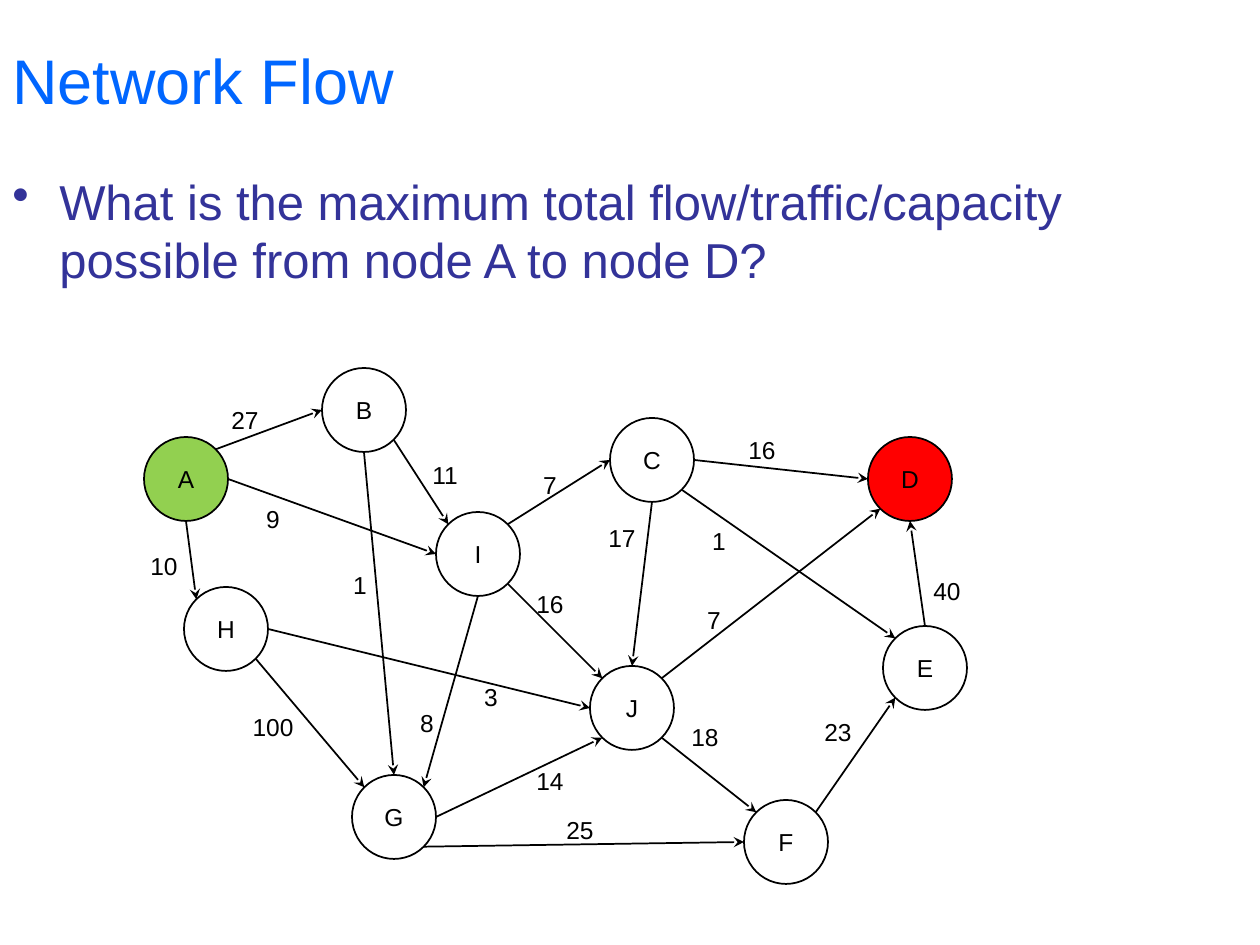
from pptx import Presentation
from pptx.dml.color import RGBColor
from pptx.enum.shapes import MSO_CONNECTOR, MSO_SHAPE
from pptx.enum.text import MSO_ANCHOR, PP_ALIGN
from pptx.oxml.ns import qn
from pptx.util import Pt
from lxml.etree import SubElement
from math import sqrt

PX = 914400 // 126
COLORS = {"title": "0066FF", "body": "333399", "ink": "000000",
          "plain": "FFFFFF", "source": "92D050", "sink": "FF0000"}

TITLE = "Network Flow"
QUESTION = ("What is the maximum total flow/traffic/capacity "
            "possible from node A to node D?")

# Node: left, top, fill
NODE_SIZE = 84
NODES = {
    "A": (144, 437, "source"),
    "B": (322, 368, "plain"),
    "C": (610, 418, "plain"),
    "E": (883, 626, "plain"),
    "D": (868, 437, "sink"),
    "I": (436, 512, None),
    "H": (184, 587, "plain"),
    "G": (352, 775, "plain"),
    "J": (590, 666, "plain"),
    "F": (744, 800, "plain"),
}

# Edge: start node and side, end node and side, capacity, label centre, label width
LABEL_HEIGHT = 43
EDGES = [
    ("A", "S", "H", "NW", 10, (164, 566), 57),
    ("A", "NE", "B", "W", 27, (245, 420), 54),
    ("C", "SE", "E", "NW", 1, (719, 541), 39),
    ("B", "SE", "I", "NW", 11, (445, 475), 54),
    ("I", "NE", "C", "W", 7, (550, 485), 39),
    ("C", "E", "D", "W", 16, (762, 450), 64),
    ("E", "N", "D", "S", 40, (947, 591), 59),
    ("J", "NE", "D", "SW", 7, (714, 620), 59),
    ("C", "S", "J", "N", 17, (622, 538), 54),
    ("I", "SE", "J", "NW", 16, (550, 604), 59),
    ("H", "E", "J", "W", 3, (491, 697), 39),
    ("B", "S", "G", "N", 1, (360, 585), 39),
    ("H", "SE", "G", "NW", 100, (273, 727), 79),
    ("I", "S", "G", "NE", 8, (427, 723), 39),
    ("G", "E", "J", "SW", 14, (550, 781), 59),
    ("G", "SE", "F", "W", 25, (580, 830), 59),
    ("F", "NE", "E", "SW", 23, (838, 732), 59),
    ("J", "SE", "F", "NW", 18, (705, 737), 69),
    ("A", "E", "I", "W", 9, (273, 519), 39),
]


def color(name):
    return RGBColor.from_string(COLORS[name])


def write(shape, text, size=14, ink="ink", align=PP_ALIGN.CENTER,
          anchor=MSO_ANCHOR.TOP, wrap=True, indent=0):
    frame = shape.text_frame
    frame.word_wrap = wrap
    frame.vertical_anchor = anchor
    paragraph = frame.paragraphs[0]
    paragraph.text = text
    paragraph.alignment = align
    if indent:
        properties = paragraph._p.get_or_add_pPr()
        properties.set("marL", str(indent * PX))
        properties.set("indent", str(-indent * PX))
        SubElement(properties, qn("a:buChar")).set("char", "•")
    font = paragraph.runs[0].font
    font.name, font.size = "Arial", Pt(size)
    font.color.rgb = color(ink)


def add_text(slide, box, text, **style):
    shape = slide.shapes.add_textbox(*(value * PX for value in box))
    write(shape, text, **style)


def add_node(slide, name, left, top, fill):
    shape = slide.shapes.add_shape(
        MSO_SHAPE.OVAL, left * PX, top * PX, NODE_SIZE * PX, NODE_SIZE * PX)
    shape.shadow.inherit = False
    if fill:
        shape.fill.solid()
        shape.fill.fore_color.rgb = color(fill)
    else:
        shape.fill.background()
    shape.line.color.rgb = color("ink")
    shape.line.width = Pt(1)
    write(shape, name, anchor=MSO_ANCHOR.MIDDLE, wrap=False)


def rim_point(name, side):
    """Point on a node's circle in a compass direction."""
    left, top, _ = NODES[name]
    radius = NODE_SIZE / 2
    reach = radius / sqrt(len(side))
    x = left + radius + reach * (("E" in side) - ("W" in side))
    y = top + radius + reach * (("S" in side) - ("N" in side))
    return round(x * PX), round(y * PX)


def add_arrow(slide, start, end):
    arrow = slide.shapes.add_connector(MSO_CONNECTOR.STRAIGHT, *start, *end)
    arrow.line.color.rgb = color("ink")
    arrow.line.width = Pt(1)
    SubElement(arrow.line._get_or_add_ln(), qn("a:tailEnd")).set("type", "stealth")
    SubElement(arrow._element.spPr, qn("a:effectLst"))


def main():
    presentation = Presentation()
    presentation.slide_width, presentation.slide_height = 1260 * PX, 945 * PX
    slide = presentation.slides.add_slide(presentation.slide_layouts[6])

    # Heading and question
    add_text(slide, (0, 0, 1260, 158), TITLE, size=36, ink="title",
             align=PP_ALIGN.LEFT, anchor=MSO_ANCHOR.MIDDLE)
    add_text(slide, (0, 165, 1260, 780), QUESTION, size=28, ink="body",
             align=PP_ALIGN.LEFT, indent=47)

    # Graph: nodes, arrows, then capacities
    for name, node in NODES.items():
        add_node(slide, name, *node)
    for start, start_side, end, end_side, *_ in EDGES:
        add_arrow(slide, rim_point(start, start_side), rim_point(end, end_side))
    for *_, capacity, (x, y), width in EDGES:
        add_text(slide, (x - width / 2, y - LABEL_HEIGHT / 2, width, LABEL_HEIGHT),
                 str(capacity))

    presentation.save("out.pptx")


if __name__ == "__main__":
    main()
